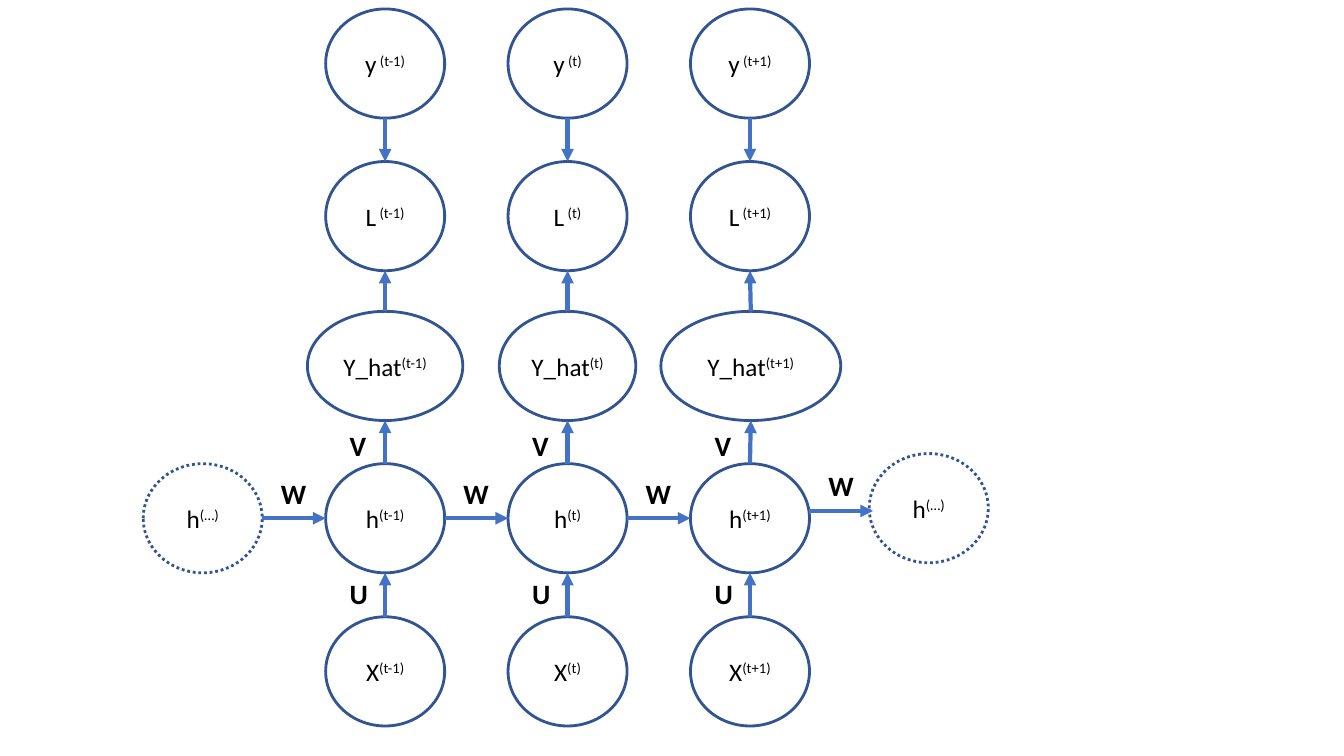
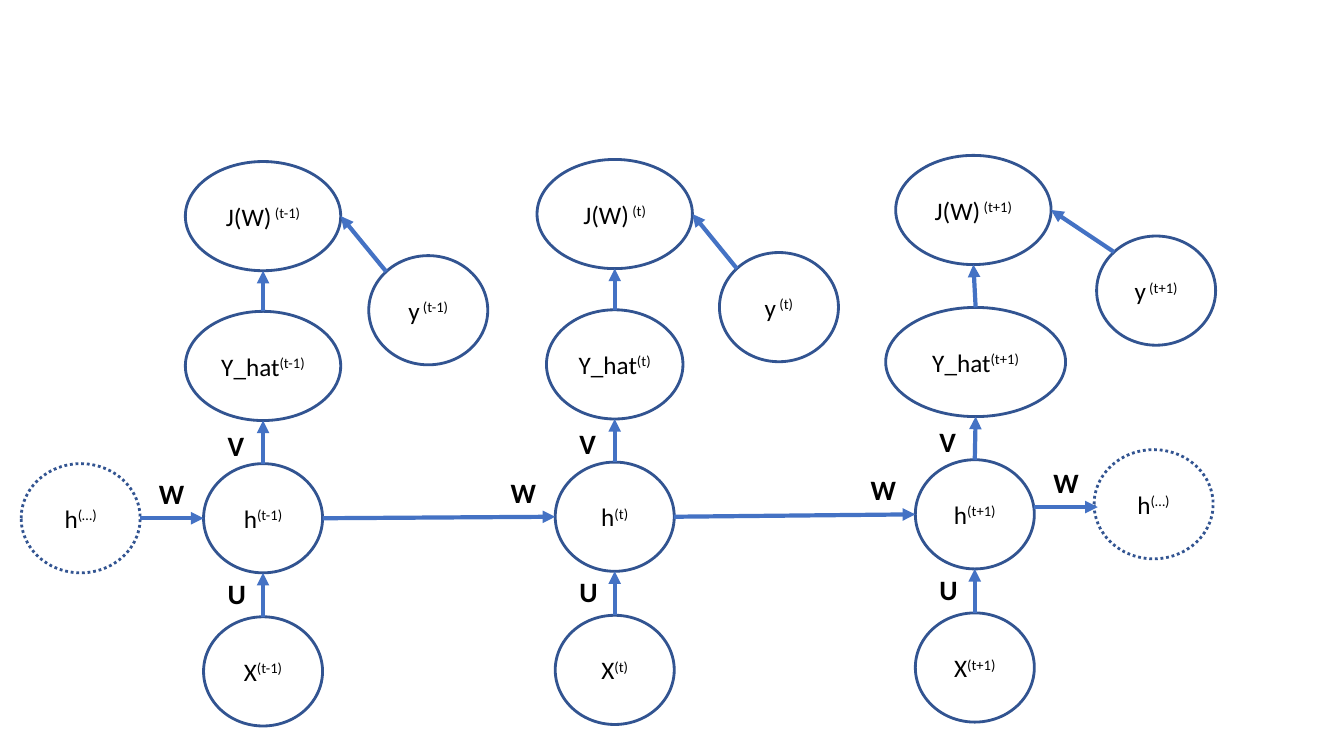
from dataclasses import dataclass
from math import cos, radians, sin

from lxml import etree
from pptx import Presentation
from pptx.dml.color import RGBColor
from pptx.enum import dml, shapes, text
from pptx.oxml.ns import qn
from pptx.shapes.autoshape import Shape
from pptx.shapes.connector import Connector
from pptx.slide import Slide
from pptx.text.text import TextFrame
from pptx.util import Pt

OUTLINE = RGBColor(0x32, 0x54, 0x91)
ARROW = RGBColor(0x44, 0x72, 0xC4)
INK = RGBColor(0, 0, 0)
FONT = "Calibri"

NODE_WIDTH, NODE_HEIGHT = 85, 78
HAT_TOP, HIDDEN_TOP, INPUT_TOP = 222.4, 331.2, 440.6
TOP, TOP_LEFT, LEFT, BOTTOM, RIGHT = 0, 1, 2, 4, 6
Point = tuple[float, float]


@dataclass(frozen=True)
class Column:
    time: str
    center: float
    hat_width: float
    truth: Point
    loss: Point
    lift: float = 0
    hat_shift: float = 0


@dataclass(frozen=True)
class Diagram:
    loss_name: str
    loss_width: float
    truth_site: int
    loss_site: int
    columns: list[Column]


STEPS = [("(t-1)", 111, 0), ("(t)", 97.5, 0), ("(t+1)", 128.5, 0.6)]

DIAGRAMS = [
    Diagram("L", NODE_WIDTH, BOTTOM, TOP, [
        Column(time, center, width, (center, 6.4), (center, 115.4), 0, shift)
        for (time, width, shift), center in zip(STEPS, (275.1, 405.4, 535.7))
    ]),
    Diagram("J(W)", 111, TOP_LEFT, RIGHT, [
        Column(time, center, width, truth, loss, lift, shift)
        for (time, width, shift), center, truth, loss, lift in zip(
            STEPS,
            (187.9, 439.1, 696.3),
            ((305.9, 182.6), (556.4, 180.4), (825.8, 168.6)),
            ((187.9, 115.4), (439.1, 113.9), (695.3, 111)),
            (0, -1.1, -2.8),
        )
    ]),
]


def add_span(frame: TextFrame, words: str, size: float,
             bold: bool = False, raised: bool = False) -> None:
    span = frame.paragraphs[0].add_run()
    span.text = words
    span.font.name = FONT
    span.font.size = Pt(size)
    span.font.bold = bold
    span.font.color.rgb = INK
    if raised:
        span.font._element.set("baseline", "30000")


def add_node(page: Slide, name: str, time: str, center: float, top: float,
             width: float = NODE_WIDTH, dotted: bool = False) -> Shape:
    node = page.shapes.add_shape(
        shapes.MSO_SHAPE.OVAL, Pt(center - width / 2), Pt(top), Pt(width), Pt(NODE_HEIGHT))
    node.shadow.inherit = False
    node.fill.background()
    node.line.color.rgb = OUTLINE
    node.line.width = Pt(2)
    if dotted:
        node.line.dash_style = dml.MSO_LINE.ROUND_DOT
    frame = node.text_frame
    frame.vertical_anchor = text.MSO_ANCHOR.MIDDLE
    frame.paragraphs[0].alignment = text.PP_ALIGN.CENTER
    add_span(frame, name, 18)
    add_span(frame, time, 18, raised=True)
    return node


def add_weight(page: Slide, name: str, left: float, top: float) -> None:
    box = page.shapes.add_textbox(Pt(left), Pt(top), Pt(33 if name == "W" else 27), Pt(31.5))
    box.text_frame.word_wrap = False
    box.text_frame.auto_size = text.MSO_AUTO_SIZE.SHAPE_TO_FIT_TEXT
    add_span(box.text_frame, name, 20, bold=True)


def add_arrow(page: Slide, start: Point, end: Point) -> Connector:
    arrow = page.shapes.add_connector(
        shapes.MSO_CONNECTOR.STRAIGHT, *(Pt(value) for value in start + end))
    arrow.line.color.rgb = ARROW
    arrow.line.width = Pt(3)
    properties = arrow._element.spPr
    etree.SubElement(properties.find(qn("a:ln")), qn("a:tailEnd"), type="triangle")
    etree.SubElement(properties, qn("a:effectLst"))
    return arrow


def site_point(node: Shape, site: int) -> Point:
    angle = radians(90 + 45 * site)
    return (node.left.pt + node.width.pt / 2 * (1 + cos(angle)),
            node.top.pt + node.height.pt / 2 * (1 - sin(angle)))


def join(page: Slide, source: Shape, source_site: int, target: Shape, target_site: int) -> None:
    arrow = add_arrow(page, site_point(source, source_site), site_point(target, target_site))
    links = arrow._element.find(".//" + qn("p:cNvCxnSpPr"))
    for tag, node, site in (("a:stCxn", source, source_site), ("a:endCxn", target, target_site)):
        etree.SubElement(links, qn(tag), id=str(node.shape_id), idx=str(site))


def add_column(page: Slide, diagram: Diagram, column: Column) -> Shape:
    time, center, lift = column.time, column.center, column.lift
    hat = add_node(page, "Y_hat", time, center + column.hat_shift, HAT_TOP + lift,
                   column.hat_width)
    hidden = add_node(page, "h", time, center, HIDDEN_TOP + lift)
    entry = add_node(page, "X", time, center, INPUT_TOP + lift)
    truth = add_node(page, "y", " " + time, *column.truth)
    loss = add_node(page, diagram.loss_name, " " + time, *column.loss, diagram.loss_width)
    join(page, truth, diagram.truth_site, loss, diagram.loss_site)
    for lower, upper in ((hat, loss), (hidden, hat), (entry, hidden)):
        join(page, lower, BOTTOM if lower is upper else TOP, upper, BOTTOM)
    add_weight(page, "V", center - 32.4, 302.2 + lift)
    add_weight(page, "U", center - 32.4, 408.2 + lift)
    return hidden


def draw_diagram(page: Slide, diagram: Diagram) -> None:
    first, last = diagram.columns[0], diagram.columns[-1]
    previous = add_node(page, "h", "(…)", first.center - 130.3, HIDDEN_TOP, dotted=True)
    for column in diagram.columns:
        hidden = add_column(page, diagram, column)
        join(page, previous, RIGHT, hidden, LEFT)
        add_weight(page, "W", hidden.left.pt - 39, 337 + column.lift)
        previous = hidden
    edge = last.center + NODE_WIDTH / 2
    add_node(page, "h", "(…)", last.center + 127.7, 324 + last.lift, dotted=True)
    add_arrow(page, (edge, 365 + last.lift), (edge + 45.4, 365 + last.lift))
    add_weight(page, "W", edge + 6.5, 331.4 + last.lift)


def main() -> None:
    deck = Presentation()
    deck.slide_width, deck.slide_height = Pt(960), Pt(540)
    for diagram in DIAGRAMS:
        draw_diagram(deck.slides.add_slide(deck.slide_layouts[6]), diagram)
    deck.save("out.pptx")


if __name__ == "__main__":
    main()
